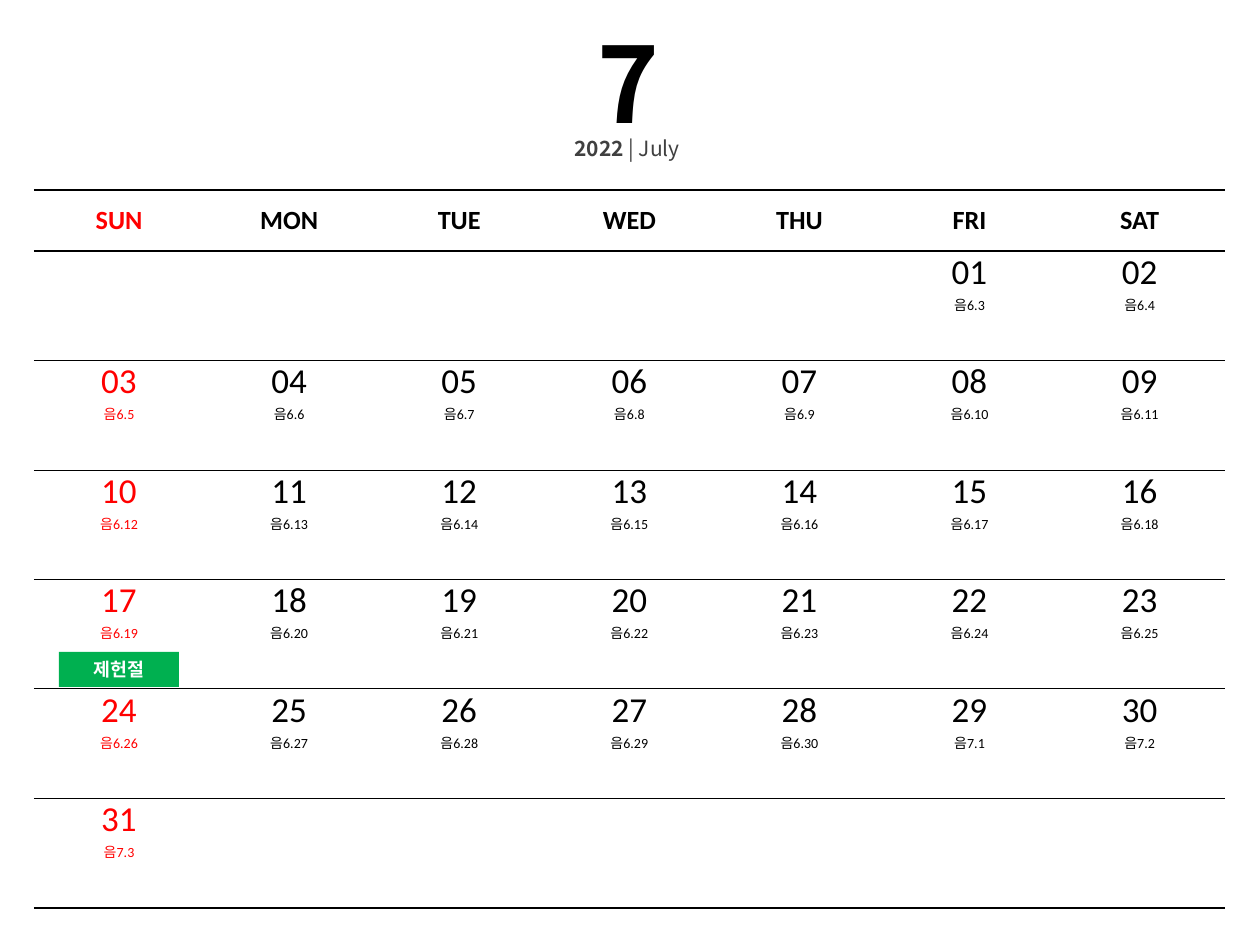
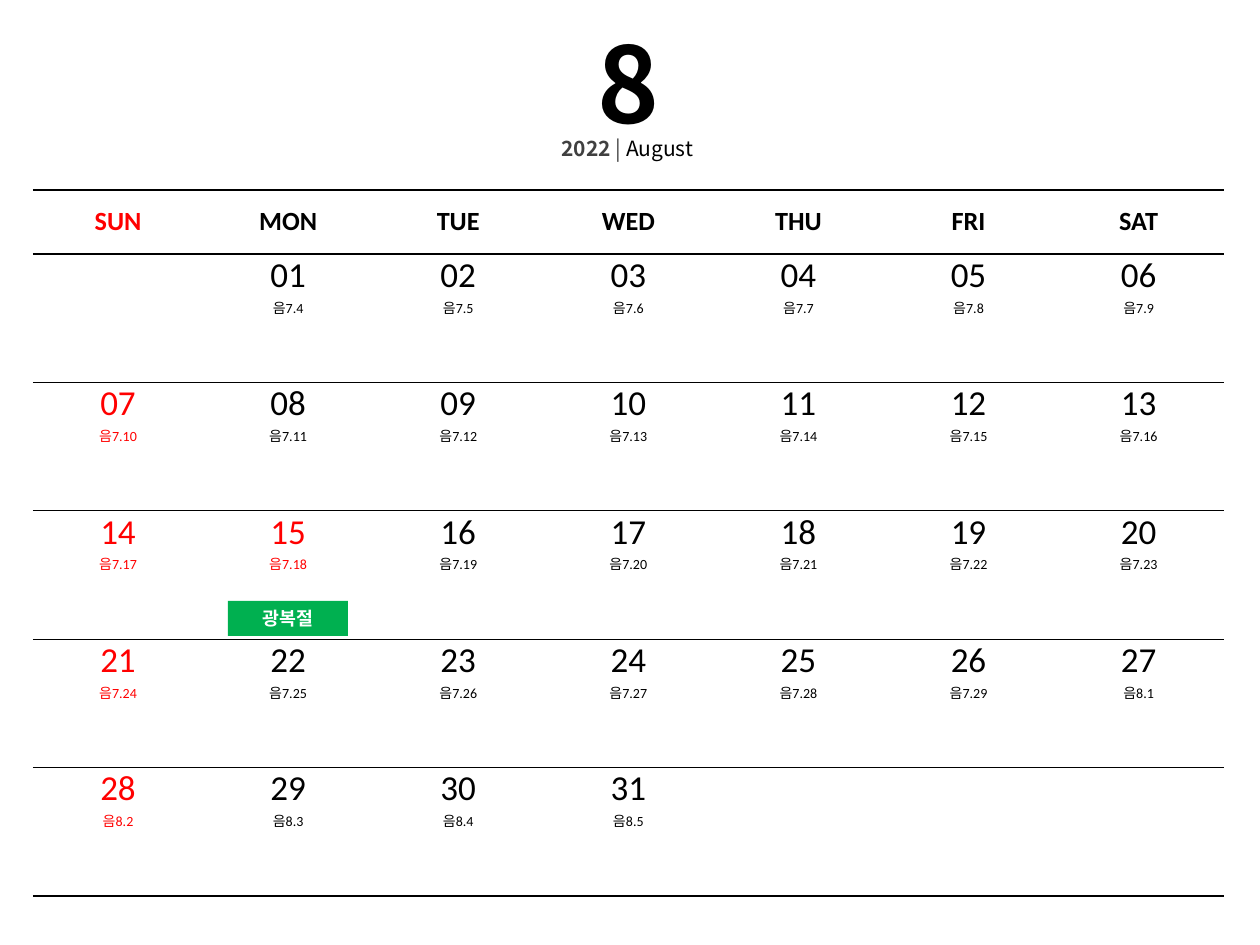
from lxml import etree
from pptx import Presentation
from pptx.dml.color import RGBColor
from pptx.enum.shapes import MSO_SHAPE
from pptx.enum.text import MSO_ANCHOR, MSO_AUTO_SIZE, PP_ALIGN
from pptx.oxml.ns import qn
from pptx.util import Pt

RECT = MSO_SHAPE.RECTANGLE
TOP, MIDDLE = MSO_ANCHOR.TOP, MSO_ANCHOR.MIDDLE
LEFT, CENTER = PP_ALIGN.LEFT, PP_ALIGN.CENTER
GROW = MSO_AUTO_SIZE.SHAPE_TO_FIT_TEXT

BLACK = RGBColor(0, 0, 0)
WHITE = RGBColor(255, 255, 255)
RED = RGBColor(255, 0, 0)
GRAY = RGBColor(0x40, 0x40, 0x40)
GREEN = RGBColor(0, 0xB0, 0x50)
LATIN, KOREAN = "Calibri", "Noto Sans CJK KR"

PX = 914400 // 126
TABLE_TOP, TABLE_W = 190, 1191
BADGE_W, BADGE_H = 120, 35
WEEKDAYS = ["SUN", "MON", "TUE", "WED", "THU", "FRI", "SAT"]
DAYS = 31

MONTHS = [
    dict(number=7, name="July", name_color=GRAY, name_box=(562, 131),
         left=34, header=61, height=718, weeks=6, first_col=5,
         lunar=(6, 3), lunar_length=30,
         holiday=17, holiday_name="제헌절", badge_top=652),
    dict(number=8, name="August", name_color=BLACK, name_box=(549, 161),
         left=33, header=64, height=706, weeks=5, first_col=1,
         lunar=(7, 4), lunar_length=29,
         holiday=15, holiday_name="광복절", badge_top=601),
]


def style_font(font, size, color, bold=False, name=KOREAN):
    """Set size, colour, weight and the Latin and Korean typefaces."""
    font.size, font.bold, font.name = Pt(size), bold, name
    font.color.rgb = color
    etree.SubElement(font._rPr, qn("a:ea"), typeface=KOREAN)


def rule_cell(cell, top, bottom):
    """Clear a cell's fill and side borders; rule its top and bottom in points."""
    tcPr = cell._tc.get_or_add_tcPr()
    for tag, width in (("a:lnL", 0), ("a:lnR", 0), ("a:lnT", top), ("a:lnB", bottom)):
        ln = etree.SubElement(tcPr, qn(tag), w=str(Pt(width)))
        if width:
            fill = etree.SubElement(ln, qn("a:solidFill"))
            etree.SubElement(fill, qn("a:srgbClr"), val=str(BLACK))
        else:
            etree.SubElement(ln, qn("a:noFill"))
    cell.fill.background()


prs = Presentation()
prs.slide_width, prs.slide_height = 1260 * PX, 945 * PX

for month in MONTHS:
    s = prs.slides.add_slide(prs.slide_layouts[5])

    # Calendar grid
    rows = month["weeks"] + 1
    table = s.shapes.add_table(rows, 7, month["left"] * PX, TABLE_TOP * PX,
                               TABLE_W * PX, month["height"] * PX).table
    table.first_row = table.horz_banding = False
    for column in table.columns:
        column.width = TABLE_W * PX // 7
    week_h = (month["height"] - month["header"]) * PX // month["weeks"]
    for i, row in enumerate(table.rows):
        row.height = week_h if i else month["header"] * PX
        for cell in row.cells:
            cell.margin_left = cell.margin_right = 0
            cell.margin_top = cell.margin_bottom = 0
            rule_cell(cell, 1 if i < 2 else 0.5, 1 if i in (0, rows - 1) else 0.5)

    for col, weekday in enumerate(WEEKDAYS):
        cell = table.cell(0, col)
        cell.vertical_anchor = MIDDLE
        p = cell.text_frame.paragraphs[0]
        p.text, p.alignment = weekday, CENTER
        style_font(p.font, 15, BLACK if col else RED, True, LATIN)

    # Solar and lunar dates
    lunar_month, lunar_day = month["lunar"]
    for day in range(1, DAYS + 1):
        week, col = divmod(month["first_col"] + day - 1, 7)
        color = RED if col == 0 or day == month["holiday"] else BLACK
        tf = table.cell(week + 1, col).text_frame
        tf.text = f"{day:02d}\n음{lunar_month}.{lunar_day}"
        for p, size in zip(tf.paragraphs, (20, 8)):
            p.alignment = CENTER
            style_font(p.font, size, color, name=LATIN)
        lunar_day += 1
        if lunar_day > month["lunar_length"]:
            lunar_month, lunar_day = lunar_month + 1, 1

    # Holiday badge
    col = (month["first_col"] + month["holiday"] - 1) % 7
    badge_left = month["left"] + 25 + col * TABLE_W // 7
    sp = s.shapes.add_shape(RECT, badge_left * PX, month["badge_top"] * PX,
                            BADGE_W * PX, BADGE_H * PX)
    sp.shadow.inherit = False
    sp.fill.solid()
    sp.fill.fore_color.rgb = GREEN
    sp.line.fill.background()
    tf = sp.text_frame
    tf.margin_top = tf.margin_bottom = 0
    tf.vertical_anchor = MIDDLE
    p = tf.paragraphs[0]
    p.text, p.alignment = month["holiday_name"], CENTER
    style_font(p.font, 10.5, WHITE, True)

    # Month number
    title = s.shapes.title
    title.left, title.top, title.width, title.height = 585 * PX, 26 * PX, 42 * PX, 140 * PX
    tf = title.text_frame
    tf.auto_size, tf.vertical_anchor = GROW, TOP
    p = tf.paragraphs[0]
    p.text, p.alignment, p.line_spacing = str(month["number"]), LEFT, 0.9
    style_font(p.font, 60, BLACK, True)

    # Year and month name
    left, width = month["name_box"]
    tf = s.shapes.add_textbox(left * PX, 132 * PX, width * PX, 89 * PX).text_frame
    tf.word_wrap, tf.auto_size = False, GROW
    p = tf.paragraphs[0]
    p.line_spacing = 0.9
    for text, color, bold in (("2022", GRAY, True), (" | ", GRAY, False),
                              (month["name"], month["name_color"], False)):
        r = p.add_run()
        r.text = text
        style_font(r.font, 12, color, bold)

prs.save("out.pptx")
